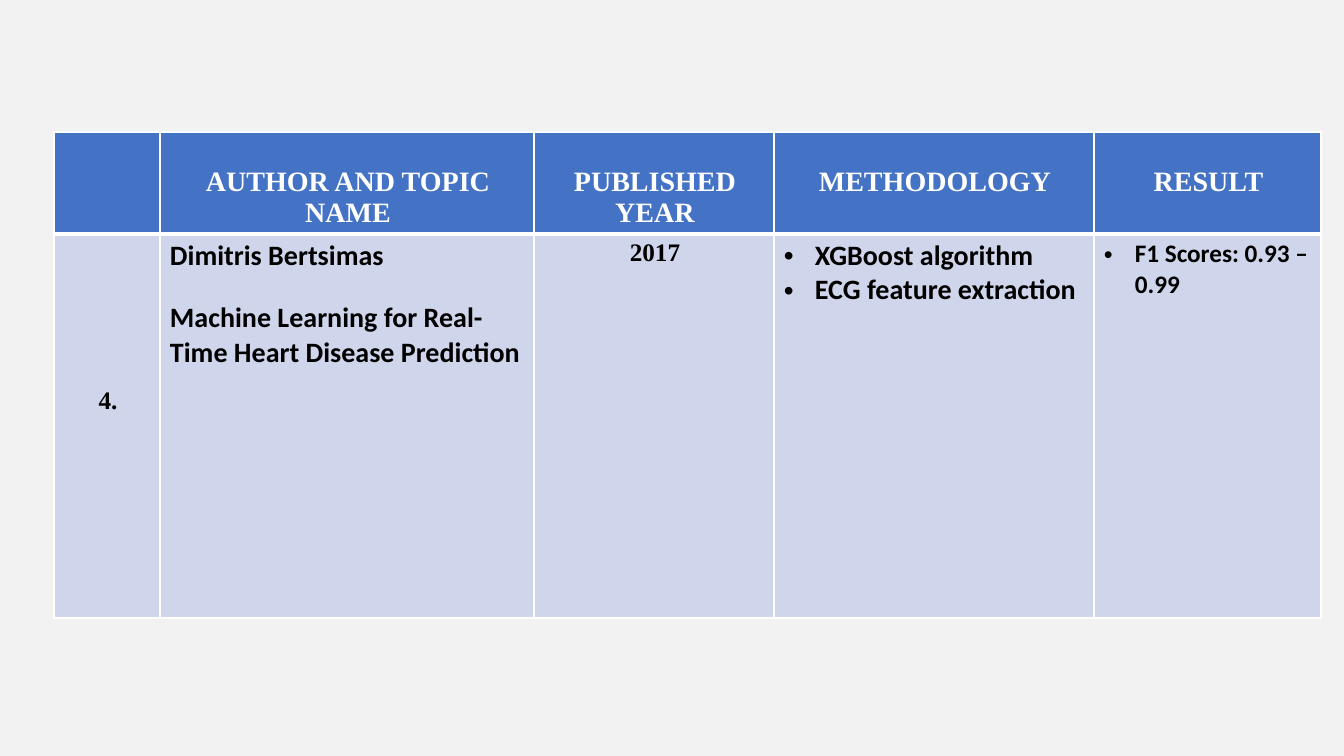
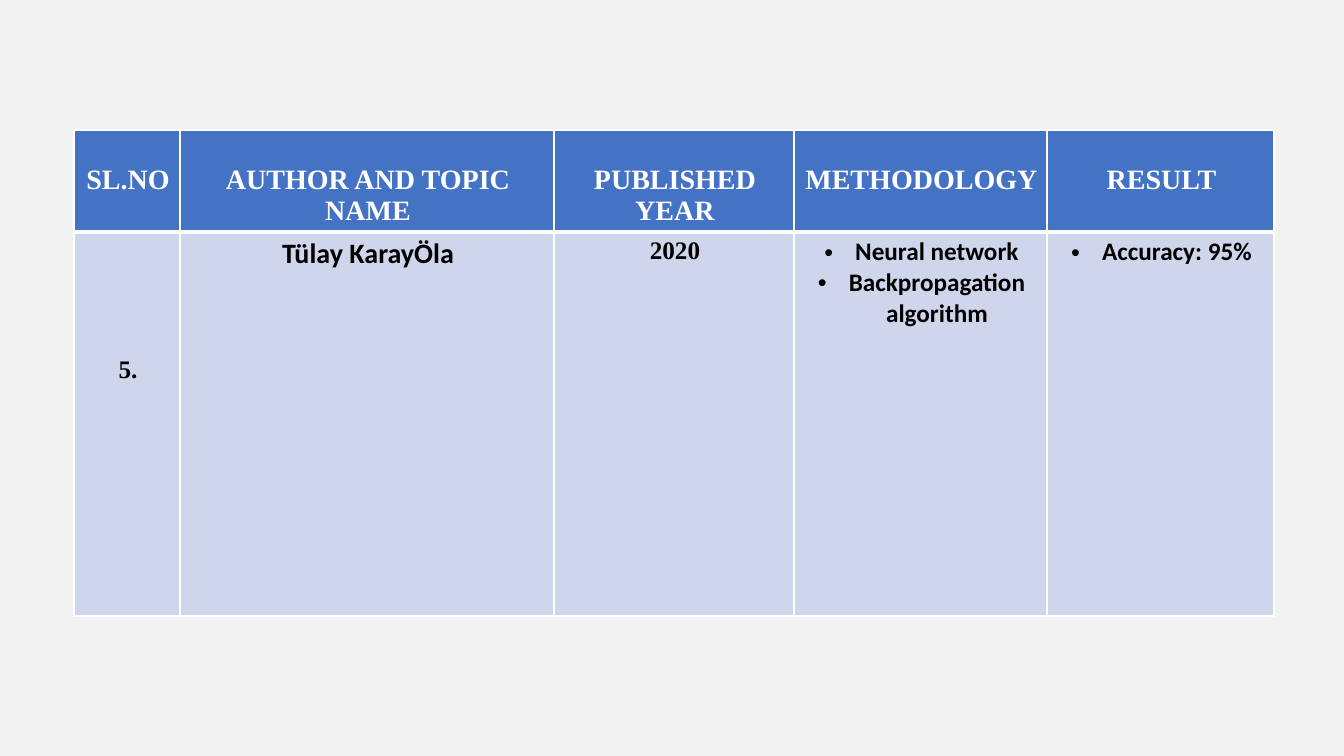
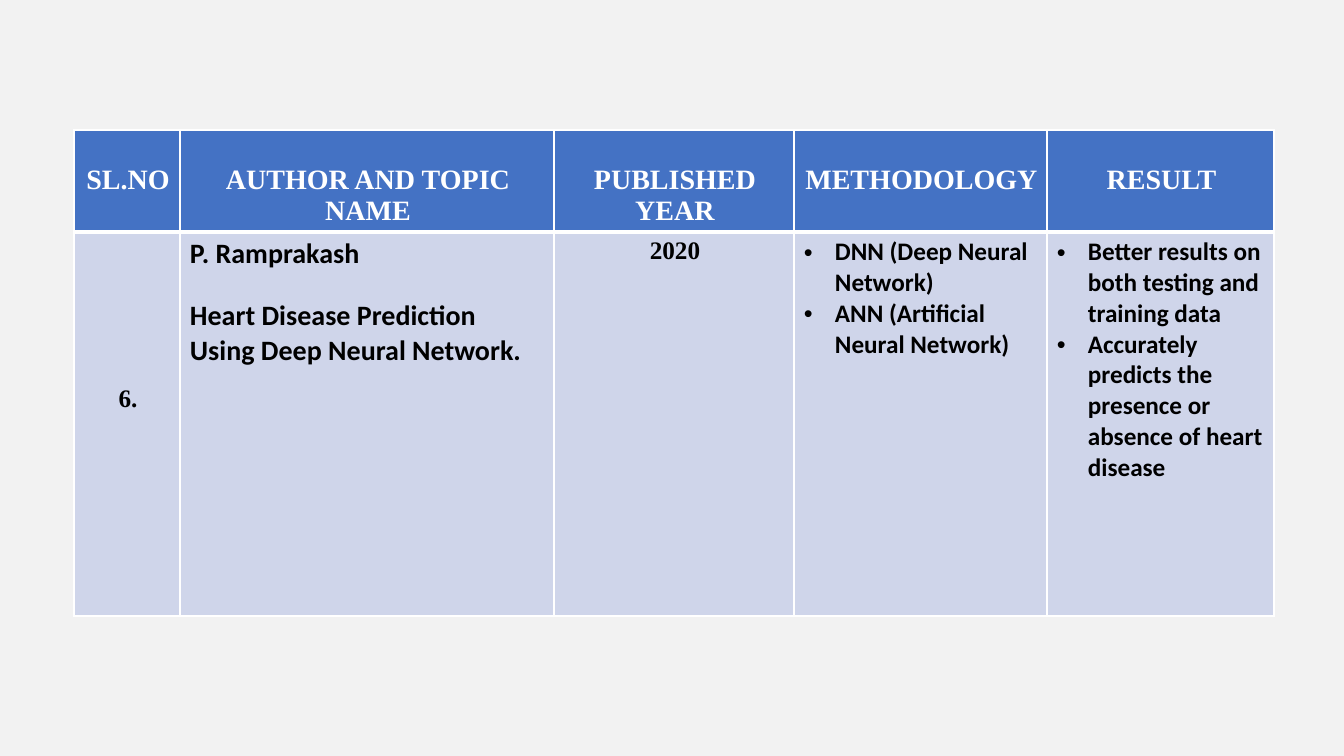
from dataclasses import dataclass

from pptx import Presentation, util as u
from pptx.dml.color import RGBColor
from pptx.enum import text
from pptx.oxml import ns, xmlchemy as xc

COLORS = {"page": "F2F2F2", "header": "4472C4", "body": "CFD5EA",
          "white": "FFFFFF", "black": "000000"}
SERIF, SANS = "Times New Roman", "Calibri"
LEFT, CENTER = text.PP_ALIGN.LEFT, text.PP_ALIGN.CENTER
EMU_PER_PX = 914400 / 100.8
ROW_HEIGHTS = (102, 384)
HEADER_TOP, CELL_TOP, BULLET_INDENT = 34, 5, 31
HEADINGS = ("AUTHOR AND TOPIC NAME", "PUBLISHED YEAR", "METHODOLOGY", "RESULT")


@dataclass
class TextStyle:
    font: str = SANS
    size: int = 18
    color: str = "black"
    align: int = LEFT
    bullet: bool = False
    gap: int = 0
    top: int = CELL_TOP


def px(n):
    return u.Emu(round(n * EMU_PER_PX))


def rgb(name):
    return RGBColor.from_string(COLORS[name])


def add_child(parent, tag, **attrs):
    child = xc.OxmlElement(tag)
    for key, value in attrs.items():
        child.set(key, str(value))
    parent.append(child)
    return child


def set_borders(cell, **widths):
    tcPr = cell._tc.get_or_add_tcPr()
    for side in "LRTB":
        ln = add_child(tcPr, f"a:ln{side}", w=u.Pt(widths.get(side, 1)))
        fill = add_child(ln, "a:solidFill")
        add_child(fill, "a:srgbClr", val=COLORS["white"])


def add_bullet(p):
    pPr = p._p.get_or_add_pPr()
    pPr.set("marL", str(px(BULLET_INDENT)))
    pPr.set("indent", str(-px(BULLET_INDENT)))
    add_child(pPr, "a:buFont", typeface="Arial")
    add_child(pPr, "a:buChar", char="•")


def fill_cell(cell, fill, lines, style):
    cell.fill.solid()
    cell.fill.fore_color.rgb = rgb(fill)
    cell.margin_left, cell.margin_right = px(10), px(8)
    cell.margin_top, cell.margin_bottom = px(style.top), px(3)
    tf = cell.text_frame
    for i, line in enumerate(lines):
        p = tf.add_paragraph() if i else tf.paragraphs[0]
        p.alignment = style.align
        if i and style.gap:
            p.space_before = u.Pt(style.gap)
        if style.bullet:
            add_bullet(p)
        r = p.add_run()
        r.text = line
        r.font.name, r.font.size = style.font, u.Pt(style.size)
        r.font.bold = True
        r.font.color.rgb = rgb(style.color)


def add_study_table(s, left, top, method_width, headings, entries):
    widths = (106, 374, 240, method_width, 227)
    frame = s.shapes.add_table(2, len(widths), px(left), px(top),
                               px(sum(widths)), px(sum(ROW_HEIGHTS)))
    table = frame.table
    table.horz_banding = False
    for column, width in zip(table.columns, widths):
        column.width = px(width)
    for row, height in zip(table.rows, ROW_HEIGHTS):
        row.height = px(height)
    heading_style = TextStyle(SERIF, 20, "white", CENTER, top=HEADER_TOP)
    for i, heading in enumerate(headings):
        cell = table.cell(0, i)
        set_borders(cell, B=3)
        fill_cell(cell, "header", [heading] if heading else [], heading_style)
    for i, (lines, style) in enumerate(entries):
        cell = table.cell(1, i)
        set_borders(cell, T=3)
        fill_cell(cell, "body", lines, style)


def add_study_slide(prs, box, first_heading, number, number_top, topic, year,
                    methods, results, align=LEFT, method_size=18):
    s = prs.slides.add_slide(prs.slide_layouts[6])
    entries = (
        ([number], TextStyle(SERIF, align=CENTER, top=number_top)),
        (topic, TextStyle(size=20, align=align, gap=20)),
        ([year], TextStyle(SERIF, align=CENTER)),
        (methods, TextStyle(size=method_size, align=align, bullet=True)),
        (results, TextStyle(align=align, bullet=True)),
    )
    add_study_table(s, *box, (first_heading,) + HEADINGS, entries)


def main():
    prs = Presentation()
    prs.slide_width, prs.slide_height = px(1344), px(756)
    background = prs.slide_master.background.fill
    background.solid()
    background.fore_color.rgb = rgb("page")
    wide, narrow = (54, 132, 320), (74, 130, 253)

    add_study_slide(
        prs, wide, "", "4.", 153,
        ["Dimitris Bertsimas",
         "Machine Learning for Real-Time Heart Disease Prediction"],
        "2017", ["XGBoost algorithm", "ECG feature extraction"],
        ["F1 Scores: 0.93 – 0.99"], method_size=20)
    add_study_slide(
        prs, narrow, "SL.NO", "5.", 124, ["Tülay KarayÖla"], "2020",
        ["Neural network", "Backpropagation algorithm"],
        ["Accuracy: 95%"], align=CENTER)
    add_study_slide(
        prs, narrow, "SL.NO", "6.", 153,
        ["P. Ramprakash",
         "Heart Disease Prediction Using Deep Neural Network."],
        "2020",
        ["DNN (Deep Neural Network)", "ANN (Artificial Neural Network)"],
        ["Better results on both testing and training data",
         "Accurately predicts the presence or absence of heart disease"])
    prs.save("out.pptx")


if __name__ == "__main__":
    main()
